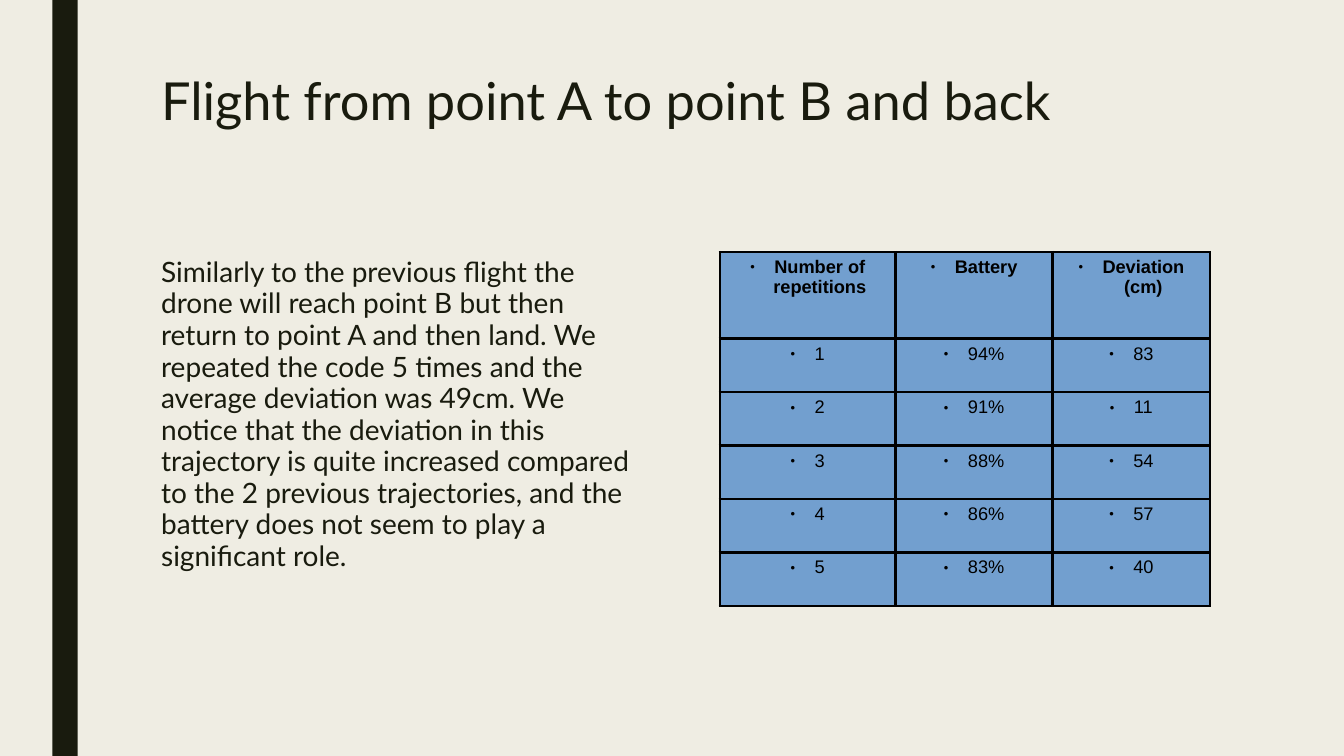
from dataclasses import dataclass

from lxml.etree import SubElement
from pptx import Presentation
from pptx.dml.color import RGBColor as RGB
from pptx.enum.shapes import MSO_SHAPE as Shape
from pptx.enum.text import MSO_ANCHOR as Anchor, PP_ALIGN as Align
from pptx.oxml.ns import qn
from pptx.util import Inches, Pt


@dataclass(frozen=True)
class Theme:
    paper: str = "EFEDE3"
    ink: str = "191B0E"
    cell: str = "729FCF"
    grid: str = "000000"
    text_font: str = "Lato"
    table_font: str = "Arial"
    title_size: float = 37.4
    body_size: float = 20
    table_size: float = 13
    grid_width: float = 1.98


THEME = Theme()

TITLE = "Flight from point A to point B and back"
SUMMARY = (
    "Similarly to the previous flight the drone will reach point B but then "
    "return to point A and then land. We repeated the code 5 times and the "
    "average deviation was 49cm. We notice that the deviation in this "
    "trajectory is quite increased compared to the 2 previous trajectories, "
    "and the battery does not seem to play a significant role."
)
FLIGHTS = [
    ("Number of repetitions", "Battery", "Deviation (cm)"),
    ("1", "94%", "83"),
    ("2", "91%", "11"),
    ("3", "88%", "54"),
    ("4", "86%", "57"),
    ("5", "83%", "40"),
]
COLUMN_WIDTHS = (1.74, 1.56, 1.56)
HEADER_HEIGHT, ROW_HEIGHT = 0.86, 0.53


def write(frame, text, *, size, font=THEME.text_font, color=THEME.ink,
          bold=False, align=Align.LEFT, spacing=None, bullet=False):
    """Fill a text frame with one formatted paragraph."""
    frame.word_wrap = True
    paragraph = frame.paragraphs[0]
    paragraph.alignment = align
    if spacing:
        paragraph.line_spacing = spacing
    if bullet:
        add_bullet(paragraph)
    run = paragraph.add_run()
    run.text = text
    run.font.name = font
    run.font.size = Pt(size)
    run.font.bold = bold
    run.font.color.rgb = RGB.from_string(color)


def add_bullet(paragraph, indent=0.24):
    props = paragraph._p.get_or_add_pPr()
    props.set("marL", str(Inches(indent)))
    props.set("indent", str(-Inches(indent)))
    color = SubElement(props, qn("a:buClr"))
    SubElement(color, qn("a:srgbClr"), val=THEME.grid)
    SubElement(props, qn("a:buSzPct"), val="45000")
    SubElement(props, qn("a:buFont"), typeface=THEME.table_font)
    SubElement(props, qn("a:buChar"), char="●")


def add_borders(cell):
    props = cell._tc.get_or_add_tcPr()
    for side in ("lnL", "lnR", "lnT", "lnB"):
        line = SubElement(props, qn(f"a:{side}"), w=str(Pt(THEME.grid_width)))
        fill = SubElement(line, qn("a:solidFill"))
        SubElement(fill, qn("a:srgbClr"), val=THEME.grid)


def add_stripe(slide, left, top, width, height):
    stripe = slide.shapes.add_shape(
        Shape.RECTANGLE, Inches(left), Inches(top), Inches(width), Inches(height))
    stripe.shadow.inherit = False
    stripe.fill.solid()
    stripe.fill.fore_color.rgb = RGB.from_string(THEME.ink)
    stripe.line.fill.background()


def add_text(slide, text, left, top, width, height, **style):
    box = slide.shapes.add_textbox(
        Inches(left), Inches(top), Inches(width), Inches(height))
    box.text_frame.vertical_anchor = Anchor.TOP
    write(box.text_frame, text, **style)


def add_flight_table(slide, left, top, width, height):
    table = slide.shapes.add_table(
        len(FLIGHTS), len(COLUMN_WIDTHS),
        Inches(left), Inches(top), Inches(width), Inches(height)).table
    table.first_row = table.horz_banding = False
    for column, column_width in zip(table.columns, COLUMN_WIDTHS):
        column.width = Inches(column_width)
    for index, (row, values) in enumerate(zip(table.rows, FLIGHTS)):
        is_header = index == 0
        row.height = Inches(HEADER_HEIGHT if is_header else ROW_HEIGHT)
        for cell, value in zip(row.cells, values):
            cell.margin_left = cell.margin_right = Inches(0.06)
            cell.margin_top = cell.margin_bottom = Inches(0.05)
            add_borders(cell)
            cell.fill.solid()
            cell.fill.fore_color.rgb = RGB.from_string(THEME.cell)
            write(cell.text_frame, value, size=THEME.table_size,
                  font=THEME.table_font, color=THEME.grid, bold=is_header,
                  align=Align.CENTER, bullet=True)


def build_flight_slide(deck):
    slide = deck.slides.add_slide(deck.slide_layouts[6])
    slide.background.fill.solid()
    slide.background.fill.fore_color.rgb = RGB.from_string(THEME.paper)

    # Side stripe
    add_stripe(slide, 0.52, 0, 0.25, 7.5)
    # Title
    add_text(slide, TITLE, 1.5, 0.75, 10.5, 1.63,
             size=THEME.title_size, spacing=0.79)
    # Summary on the left, measurements on the right
    add_text(slide, SUMMARY, 1.5, 2.5, 4.86, 3.92,
             size=THEME.body_size, spacing=0.94)
    add_flight_table(slide, 7.14, 2.5, 4.86, 3.51)


def main():
    deck = Presentation()
    deck.slide_width, deck.slide_height = Inches(13.33), Inches(7.5)
    build_flight_slide(deck)
    deck.save("out.pptx")


if __name__ == "__main__":
    main()
